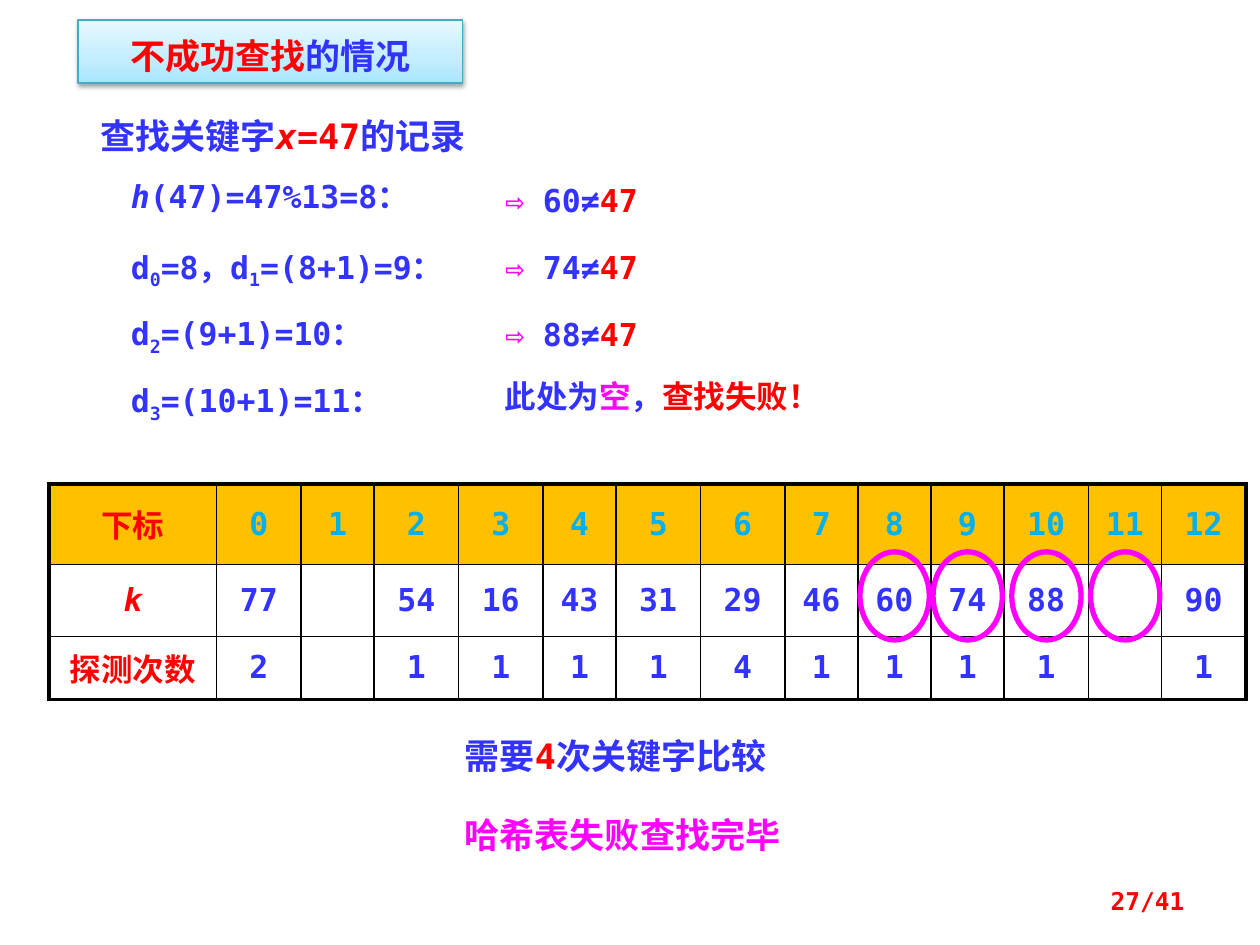
from itertools import accumulate

from lxml import etree
from pptx import Presentation
from pptx import util as u
from pptx.dml.color import RGBColor
from pptx.enum import shapes, text
from pptx.oxml import parse_xml
from pptx.oxml.ns import qn

FONT = "DejaVu Sans Mono"
BLUE, RED, PINK, CYAN, GOLD, BLACK = "3333FF", "FF0000", "FF00FF", "00B0F0", "FFC000", "000000"
SUB, ITALIC = "sub", "italic"

TITLE = [("不成功查找", RED), ("的情况", BLUE)]
HEADINGS = [
    ((0.7, 0.86, 4.53), [("查找关键字", BLUE), ("x", RED, ITALIC), ("=47", RED), ("的记录", BLUE)]),
    ((3.59, 5.78, 3.05), [("需要", BLUE), ("4", RED), ("次关键字比较", BLUE)]),
    ((3.59, 6.41, 2.81), [("哈希表失败查找完毕", PINK)]),
]
PROBES = [
    [("h", BLUE, ITALIC), ("(47)=47%13=8：", BLUE)],
    [("d", BLUE), ("0", BLUE, SUB), ("=8，d", BLUE), ("1", BLUE, SUB), ("=(8+1)=9：", BLUE)],
    [("d", BLUE), ("2", BLUE, SUB), ("=(9+1)=10：", BLUE)],
    [("d", BLUE), ("3", BLUE, SUB), ("=(10+1)=11：", BLUE)],
]
COMPARED = ["60", "74", "88"]
FAILURE = [("此处为", BLUE), ("空", PINK), ("，", BLUE), ("查找失败！", RED)]
HASH_TABLE = [
    ["下标", *map(str, range(13))],
    ["k", "77", "", "54", "16", "43", "31", "29", "46", "60", "74", "88", "", "90"],
    ["探测次数", "2", "", "1", "1", "1", "1", "4", "1", "1", "1", "1", "", "1"],
]
WIDE, NARROW = 0.67, 0.58
COLUMNS = [1.33, WIDE, NARROW, WIDE, WIDE, NARROW, WIDE, WIDE,
           NARROW, NARROW, NARROW, WIDE, NARROW, WIDE]
ROWS = [0.64, 0.57, 0.5]
TABLE_LEFT, TABLE_TOP = 0.39, 3.84
PROBED_COLUMNS = range(9, 13)
RING_TOP, RING_WIDTH, RING_HEIGHT = 4.38, 0.55, 0.7
PROBE_TOP, PROBE_STEP = 1.39, 0.53
A_NS = 'xmlns:a="http://schemas.openxmlformats.org/drawingml/2006/main"'


def color(value):
    return RGBColor.from_string(value)


def inches(*lengths):
    return [u.Inches(length) for length in lengths]


def write(frame, spans, size, align=None, spacing=None):
    para = frame.paragraphs[0]
    para.alignment, para.line_spacing = align, spacing
    for content, tint, *style in spans:
        span = para.add_run()
        span.text = content
        font = span.font
        font.name, font.size, font.bold = FONT, u.Pt(size), True
        font.color.rgb = color(tint)
        if ITALIC in style:
            font.italic = True
        if SUB in style:
            font._element.set("baseline", "-25000")


def add_text(page, place, spans, size, align=None, spacing=None):
    box = page.shapes.add_textbox(*inches(*place))
    frame = box.text_frame
    frame.word_wrap = True
    frame.auto_size = text.MSO_AUTO_SIZE.SHAPE_TO_FIT_TEXT
    write(frame, spans, size, align, spacing)
    return frame


def add_title(page):
    box = page.shapes.add_shape(shapes.MSO_SHAPE.RECTANGLE, *inches(0.62, 0.16, 3.05, 0.5))
    box.line.color.rgb = color("46AAC5")
    box.line.width = u.Pt(0.75)
    stops = "".join(f'<a:gs pos="{pos}000"><a:srgbClr val="{tint}"/></a:gs>'
                    for pos, tint in [(0, "A7E6FF"), (35, "C1EDFF"), (100, "E7F8FF")])
    gradient = parse_xml(f'<a:gradFill {A_NS} rotWithShape="1"><a:gsLst>{stops}</a:gsLst>'
                         '<a:lin ang="16200000" scaled="1"/></a:gradFill>')
    shadow = parse_xml(f'<a:effectLst {A_NS}><a:outerShdw blurRad="{u.Pt(3.1)}" '
                       f'dist="{u.Pt(1.6)}" dir="5400000" rotWithShape="0">'
                       f'<a:srgbClr val="{BLACK}"><a:alpha val="38000"/></a:srgbClr>'
                       '</a:outerShdw></a:effectLst>')
    properties = box._element.spPr
    properties.find(qn("a:prstGeom")).addnext(gradient)
    properties.find(qn("a:ln")).addnext(shadow)
    frame = box.text_frame
    frame.word_wrap = True
    frame.auto_size = text.MSO_AUTO_SIZE.SHAPE_TO_FIT_TEXT
    write(frame, TITLE, 20, text.PP_ALIGN.CENTER, 1.2)


def set_borders(cell, widths):
    properties = cell._tc.get_or_add_tcPr()
    for side, width in widths.items():
        line = etree.SubElement(properties, qn(f"a:ln{side}"), w=str(u.Pt(width)))
        solid = etree.SubElement(line, qn("a:solidFill"))
        etree.SubElement(solid, qn("a:srgbClr"), val=BLACK)


def add_hash_table(page):
    table = page.shapes.add_table(len(ROWS), len(COLUMNS), *inches(
        TABLE_LEFT, TABLE_TOP, sum(COLUMNS), sum(ROWS))).table
    last_row, last_column = len(ROWS) - 1, len(COLUMNS) - 1
    for column, width in zip(table.columns, COLUMNS):
        column.width = u.Inches(width)
    for r, height in enumerate(ROWS):
        table.rows[r].height = u.Inches(height)
        for c, content in enumerate(HASH_TABLE[r]):
            cell = table.cell(r, c)
            outer = {"L": c == 0, "R": c == last_column, "T": r == 0, "B": r == last_row}
            set_borders(cell, {side: 2.25 if edge else 1 for side, edge in outer.items()})
            if r == 0:
                cell.fill.solid()
                cell.fill.fore_color.rgb = color(GOLD)
            else:
                cell.fill.background()
            cell.vertical_anchor = text.MSO_ANCHOR.MIDDLE
            tint = RED if c == 0 else CYAN if r == 0 else BLUE
            style = [ITALIC] if content == "k" else []
            if content:
                write(cell.text_frame, [(content, tint, *style)], 18, text.PP_ALIGN.CENTER)


def add_rings(page):
    lefts = list(accumulate(COLUMNS, initial=TABLE_LEFT))
    for c in PROBED_COLUMNS:
        left = lefts[c] + (COLUMNS[c] - RING_WIDTH) / 2
        ring = page.shapes.add_shape(
            shapes.MSO_SHAPE.OVAL, *inches(left, RING_TOP, RING_WIDTH, RING_HEIGHT))
        ring.shadow.inherit = False
        ring.fill.background()
        ring.line.color.rgb = color(PINK)
        ring.line.width = u.Pt(3)


def main():
    """Build the slide on an unsuccessful hash table search."""
    deck = Presentation()
    deck.slide_width, deck.slide_height = inches(10, 7.5)
    page = deck.slides.add_slide(deck.slide_layouts[6])
    add_title(page)
    add_hash_table(page)
    add_rings(page)
    for place, spans in HEADINGS:
        add_text(page, (*place, 0.44), spans, 20)
    tops = [PROBE_TOP + PROBE_STEP * i for i in range(len(PROBES))]
    for top, spans in zip(tops, PROBES):
        add_text(page, (0.94, top, 3.13, 0.37), spans, 18, spacing=0.9)
    for top, value in zip(tops, COMPARED):
        add_text(page, (3.91, top, 1.48, 0.4),
                 [("⇨", PINK), (f" {value}≠", BLUE), ("47", RED)], 18)
    add_text(page, (3.91, tops[-1], 3.2, 0.37), FAILURE, 18, spacing=0.9)
    number = add_text(page, (7.17, 6.95, 2.33, 0.4), [("27/41", RED)], 14, text.PP_ALIGN.RIGHT)
    number.auto_size = text.MSO_AUTO_SIZE.NONE
    number.vertical_anchor = text.MSO_ANCHOR.MIDDLE
    deck.save("out.pptx")


if __name__ == "__main__":
    main()
